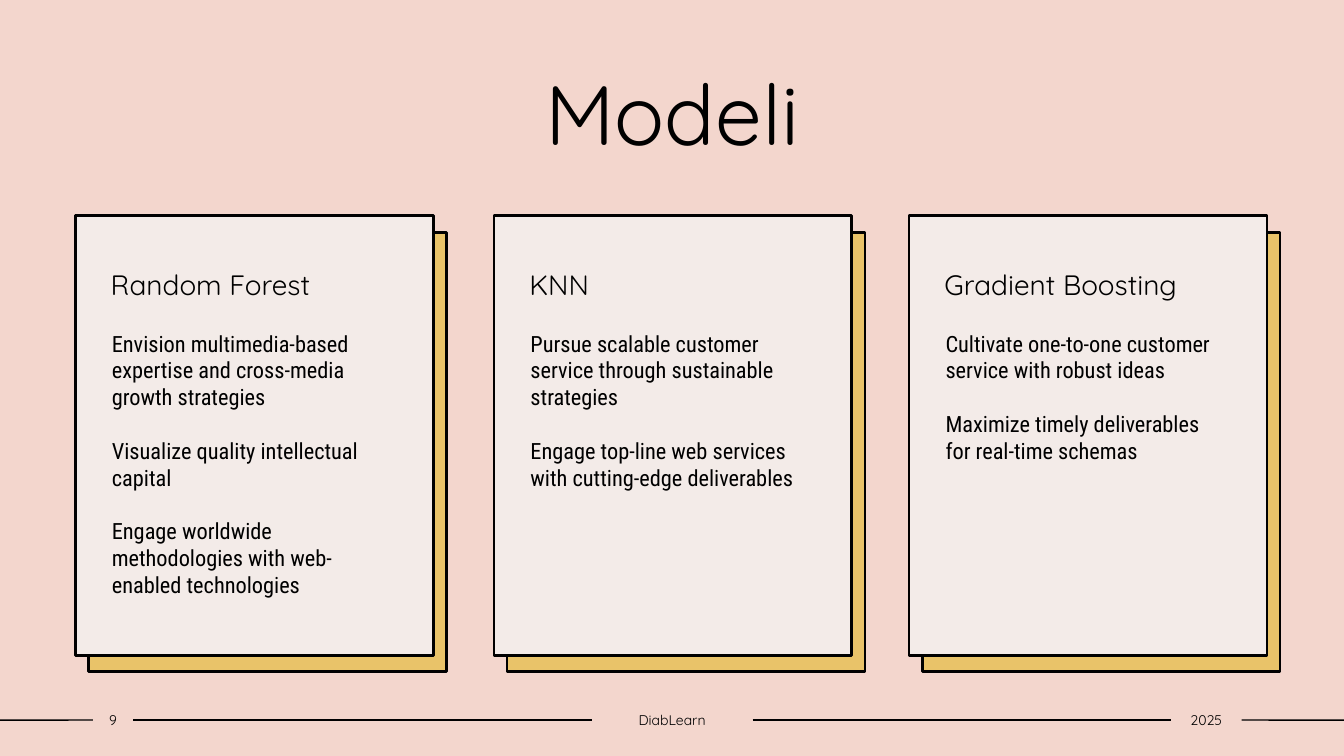
from lxml import etree
from pptx import Presentation
from pptx import util as u
from pptx.dml.color import RGBColor
from pptx.enum import shapes, text
from pptx.oxml import ns

COLORS = {"background": "F3D6CD", "card": "F3EBE8", "backing": "E9C369", "ink": "000000"}
HEADING_FONT, BODY_FONT = "Quicksand", "Roboto Condensed"
SLIDE_WIDTH, SLIDE_HEIGHT = 33.87, 19.05
CARD_TOP, CARD_WIDTH, CARD_HEIGHT = 5.44, 9.02, 11.07
LEFT_SIDE, RIGHT_SIDE = 1, 3

MODELS = [
    (1.9, "Random Forest", [
        "Envision multimedia-based expertise and cross-media growth strategies",
        "Visualize quality intellectual capital",
        "Engage worldwide methodologies with web-enabled technologies"]),
    (12.45, "KNN", [
        "Pursue scalable customer service through sustainable strategies",
        "Engage top-line web services with cutting-edge deliverables"]),
    (22.91, "Gradient Boosting", [
        "Cultivate one-to-one customer service with robust ideas",
        "Maximize timely deliverables for real-time schemas"]),
]
FOOTER = [(2.34, 1.02, "9"), (14.91, 4.06, "DiabLearn"), (29.51, 1.78, "2025")]


class SlideBuilder:
    """Draws styled elements on the current slide."""

    def __init__(self, slide):
        self.slide = slide
        fill = slide.background.fill
        fill.solid()
        fill.fore_color.rgb = self.color("background")

    def color(self, name):
        return RGBColor.from_string(COLORS[name])

    def add_text(self, shape, lines, size, font, align=text.PP_ALIGN.LEFT,
                 anchor=text.MSO_ANCHOR.TOP, insets=(0.25, 0.13, 0.25, 0.13),
                 spacing=1.0, gap=0):
        frame = shape.text_frame
        frame.word_wrap = True
        frame.vertical_anchor = anchor
        (frame.margin_left, frame.margin_top,
         frame.margin_right, frame.margin_bottom) = map(u.Cm, insets)
        for index, line in enumerate(lines):
            paragraph = frame.add_paragraph() if index else frame.paragraphs[0]
            paragraph.alignment = align
            paragraph.line_spacing = spacing
            paragraph.space_before = u.Pt(gap if index else 0)
            run = paragraph.add_run()
            run.text = line
            run.font.size = u.Pt(size)
            run.font.name = font
            run.font.color.rgb = self.color("ink")

    def text_box(self, left, top, width, height, lines, size, font, **style):
        shape = self.slide.shapes.add_textbox(*map(u.Cm, (left, top, width, height)))
        self.add_text(shape, lines, size, font, **style)
        return shape

    def panel(self, left, top, fill):
        shape = self.slide.shapes.add_shape(
            shapes.MSO_SHAPE.RECTANGLE, *map(u.Cm, (left, top, CARD_WIDTH, CARD_HEIGHT)))
        shape.shadow.inherit = False
        shape.fill.solid()
        shape.fill.fore_color.rgb = self.color(fill)
        shape.line.color.rgb = self.color("ink")
        shape.line.width = u.Pt(2)
        return shape

    def card(self, left, heading, points):
        self.panel(left + 0.33, CARD_TOP + 0.41, "backing")
        front = self.panel(left, CARD_TOP, "card")
        self.add_text(front, [heading], 20, HEADING_FONT,
                      insets=(0.89, 1.4, 0.25, 0.13), spacing=0.9)
        self.text_box(left + 0.67, 8.18, 7.62, 7.75, points, 16, BODY_FONT, gap=19)

    def footer_line(self, before, after, height):
        line = self.slide.shapes.add_connector(
            shapes.MSO_CONNECTOR.STRAIGHT, 0, u.Cm(height), u.Cm(SLIDE_WIDTH), u.Cm(height))
        if before:
            line.begin_connect(before, RIGHT_SIDE)
        if after:
            line.end_connect(after, LEFT_SIDE)
        line.line.color.rgb = self.color("ink")
        line.line.width = u.Pt(1)
        etree.SubElement(line._element.spPr, ns.qn("a:effectLst"))

    def footer(self, items):
        top, height = 17.8, 0.69
        labels = [self.text_box(left, top, width, height, [label], 10, HEADING_FONT,
                                align=text.PP_ALIGN.CENTER, anchor=text.MSO_ANCHOR.MIDDLE,
                                insets=(0, 0.13, 0, 0.13))
                  for left, width, label in items]
        for before, after in zip([None] + labels, labels + [None]):
            self.footer_line(before, after, top + height / 2)


def main():
    presentation = Presentation()
    presentation.slide_width = u.Cm(SLIDE_WIDTH)
    presentation.slide_height = u.Cm(SLIDE_HEIGHT)
    builder = SlideBuilder(presentation.slides.add_slide(presentation.slide_layouts[6]))
    builder.text_box(3.18, 1.42, 27.53, 2.82, ["Modeli"], 60, HEADING_FONT,
                     align=text.PP_ALIGN.CENTER, anchor=text.MSO_ANCHOR.MIDDLE)
    for left, heading, points in MODELS:
        builder.card(left, heading, points)
    builder.footer(FOOTER)
    presentation.save("out.pptx")


if __name__ == "__main__":
    main()
